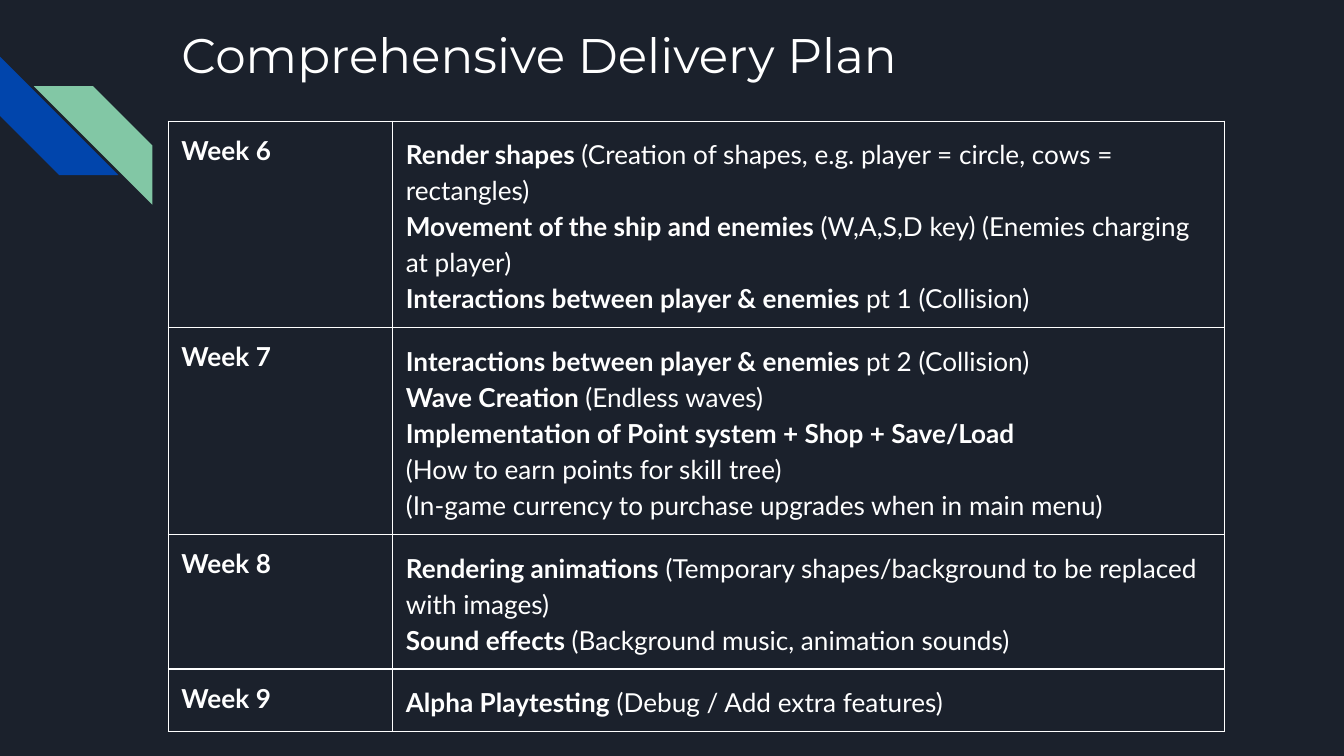
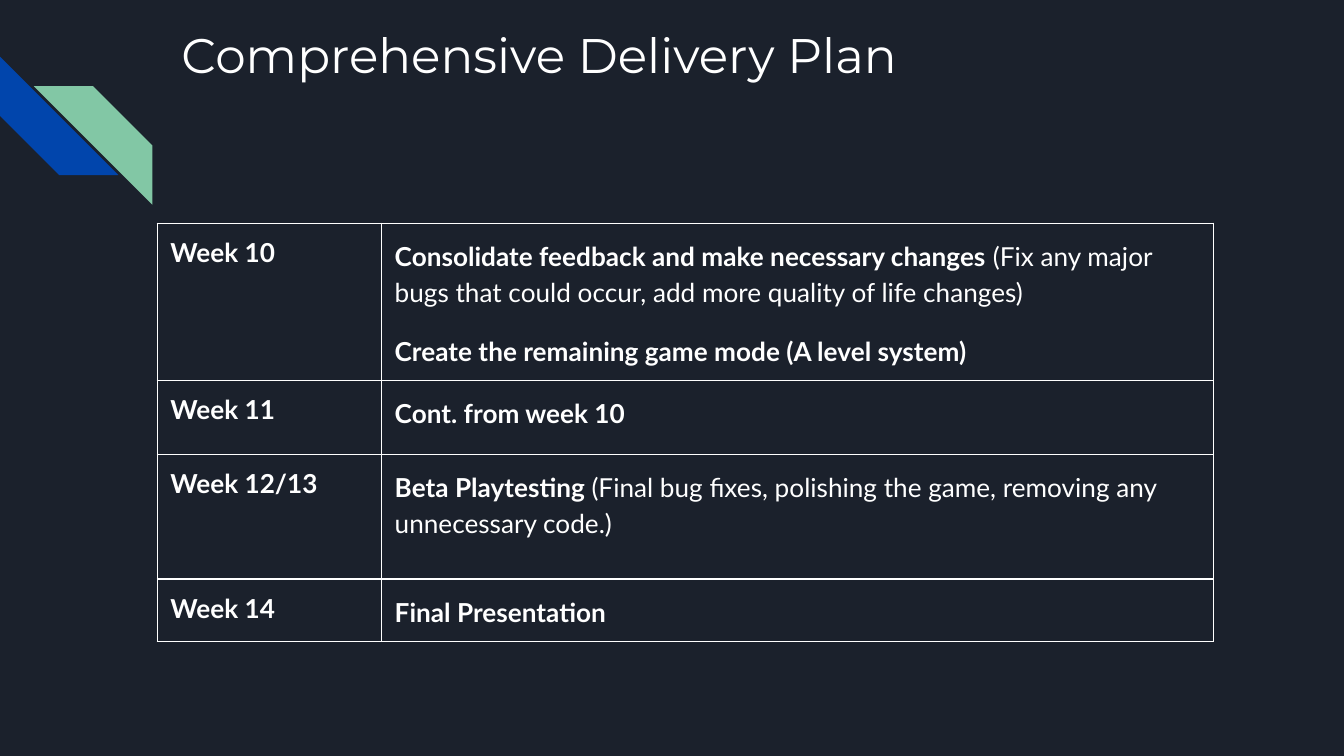
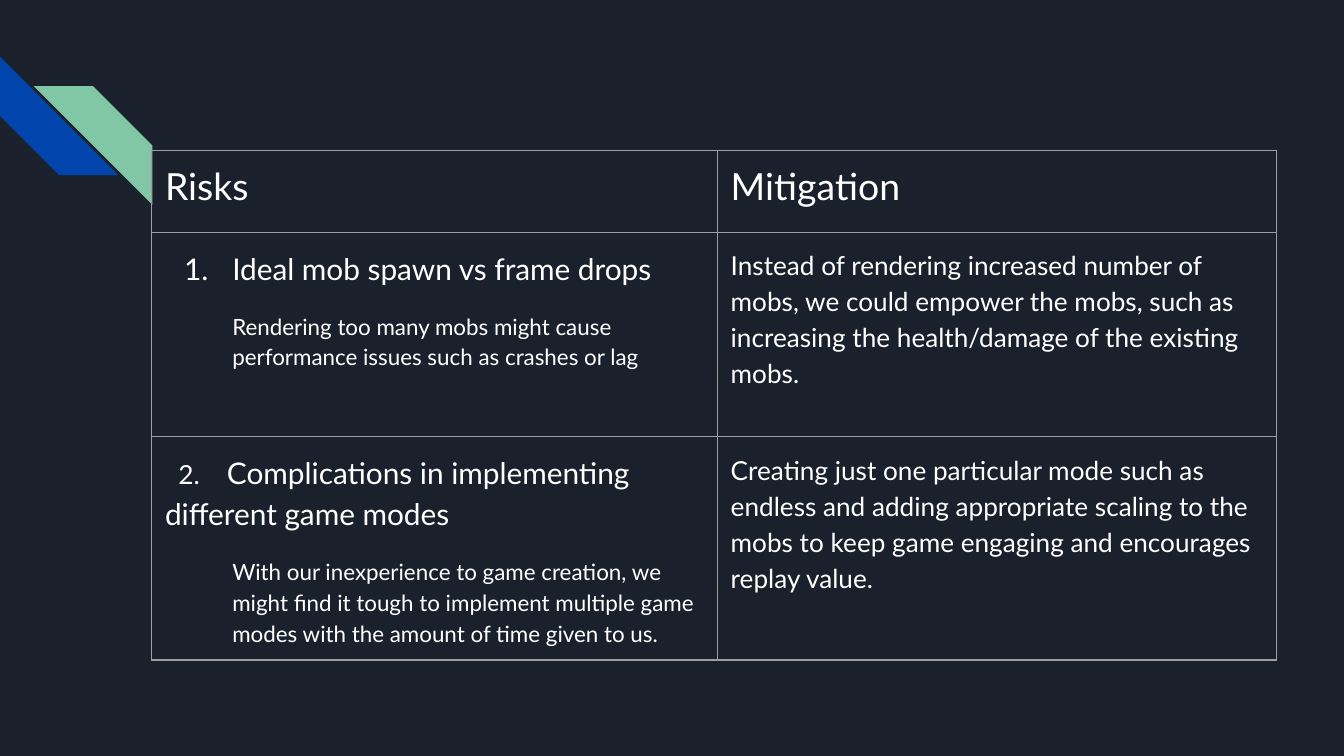
"""Build three dark slides: a two-part weekly delivery plan and a risk table."""
from lxml import etree
from pptx import Presentation
from pptx import util as u
from pptx.dml.color import RGBColor
from pptx.enum import shapes, text
from pptx.oxml.ns import qn

NAVY = RGBColor(0x1B, 0x21, 0x2C)
BLUE = RGBColor(0x01, 0x45, 0xAC)
GREEN = RGBColor(0x82, 0xC7, 0xA5)
WHITE = RGBColor(0xFF, 0xFF, 0xFF)
GREY = RGBColor(0x9E, 0x9E, 0x9E)
BODY_FONT, TITLE_FONT = "Lato", "Montserrat"
INSET = u.Cm(0.25)

PLAN_TITLE = "Comprehensive Delivery Plan"
PLAN_COLS = (4.24, 15.72)
RISK_COLS = (10.69, 10.57)

# Each plan paragraph lists parts that alternate between bold and regular.
PLANS = [
    dict(at=(3.18, 2.29), rows=[
        (3.66, "Week 6", [[
            "Render shapes ",
            "(Creation of shapes, e.g. player = circle, cows = rectangles)\n",
            "Movement of the ship and enemies ",
            "(W,A,S,D key) (Enemies charging at player)\n",
            "Interactions between player & enemies ", "pt 1 (Collision)"]]),
        (3.66, "Week 7", [[
            "Interactions between player & enemies ", "pt 2 (Collision)\n",
            "Wave Creation ", "(Endless waves)\n",
            "Implementation of Point system + Shop + Save/Load\n",
            "(How to earn points for skill tree)\n"
            "(In-game currency to purchase upgrades when in main menu)"]]),
        (2.36, "Week 8", [[
            "Rendering animations",
            " (Temporary shapes/background to be replaced with images)\n",
            "Sound effects ", "(Background music, animation sounds)"]]),
        (1.14, "Week 9", [[
            "Alpha Playtesting", " (Debug / Add extra features)"]]),
    ]),
    dict(at=(2.97, 4.22), rows=[
        (2.9, "Week 10", [
            ["Consolidate feedback and make necessary changes",
             " (Fix any major bugs that could occur, "
             "add more quality of life changes)"],
            ["Create the remaining game mode (A level system)"]]),
        (1.4, "Week 11", [["Cont. from week 10"]]),
        (2.36, "Week 12/13", [[
            "Beta Playtesting ",
            "(Final bug fixes, polishing the game, "
            "removing any unnecessary code.)"]]),
        (1.14, "Week 14", [["Final Presentation"]]),
    ]),
]

RISK_AT = (2.87, 2.84)
RISK_HEADS = (1.55, "Risks", "Mitigation")
RISKS = [
    dict(height=3.86, name="Ideal mob spawn vs frame drops", rest="",
         number=dict(number=1, left=1.27, hang=0.91),
         why="Rendering too many mobs might cause performance issues "
             "such as crashes or lag",
         fix="Instead of rendering increased number of mobs, we could empower "
             "the mobs, such as increasing the health/damage of the existing "
             "mobs."),
    dict(height=4.19, name="Complications in implementing",
         rest="different game modes",
         number=dict(number=2, left=1.17, hang=0.92, number_size=88),
         why="With our inexperience to game creation, we might find it tough "
             "to implement multiple game modes with the amount of time given "
             "to us.",
         fix="Creating just one particular mode such as endless and adding "
             "appropriate scaling to the mobs to keep game engaging and "
             "encourages replay value."),
]


def write(p, *parts, size=14, bold=False, font=BODY_FONT, spacing=1.15,
          before=0, after=0, left=0, hang=0, number=None, number_size=100):
    p.alignment = text.PP_ALIGN.LEFT
    p.line_spacing = spacing
    p.space_before, p.space_after = u.Pt(before), u.Pt(after)
    for i, part in enumerate(parts):
        for j, line in enumerate(part.split("\n")):
            if j:
                p.add_line_break()
            if line:
                r = p.add_run()
                r.text = line
                r.font.name, r.font.size = font, u.Pt(size)
                r.font.bold = bold if i % 2 == 0 else not bold
                r.font.color.rgb = WHITE
    pPr = p._p.get_or_add_pPr()
    pPr.set("marL", str(u.Cm(left)))
    pPr.set("indent", str(-u.Cm(hang)))
    if number:
        clr = etree.SubElement(pPr, qn("a:buClr"))
        etree.SubElement(clr, qn("a:srgbClr"), val=str(WHITE))
        etree.SubElement(pPr, qn("a:buSzPct"), val=str(number_size * 1000))
        etree.SubElement(pPr, qn("a:buFont"), typeface=BODY_FONT)
        etree.SubElement(pPr, qn("a:buAutoNum"), type="arabicPeriod",
                         startAt=str(number))
    else:
        etree.SubElement(pPr, qn("a:buNone"))


def fill_cell(cell, paragraphs, border):
    cell.fill.background()
    cell.margin_left = cell.margin_right = INSET
    cell.margin_top = cell.margin_bottom = INSET
    cell.vertical_anchor = text.MSO_ANCHOR.TOP
    tcPr = cell._tc.get_or_add_tcPr()
    for i, side in enumerate("LRTB"):
        ln = etree.Element(qn(f"a:ln{side}"), w=str(u.Pt(0.75)))
        fill = etree.SubElement(ln, qn("a:solidFill"))
        etree.SubElement(fill, qn("a:srgbClr"), val=str(border))
        tcPr.insert(i, ln)
    tf = cell.text_frame
    for i, (parts, style) in enumerate(paragraphs):
        write(tf.add_paragraph() if i else tf.paragraphs[0], *parts, **style)


def add_grid(s, at, cols, rows, border):
    left, top = map(u.Cm, at)
    heights = [height for height, _ in rows]
    table = s.shapes.add_table(len(rows), len(cols), left, top,
                               u.Cm(sum(cols)), u.Cm(sum(heights))).table
    table.first_row = table.horz_banding = False
    for col, width in zip(table.columns, cols):
        col.width = u.Cm(width)
    for row, (height, cells) in zip(table.rows, rows):
        row.height = u.Cm(height)
        for cell, paragraphs in zip(row.cells, cells):
            fill_cell(cell, paragraphs, border)


def plan_row(height, week, tasks):
    last = len(tasks) - 1
    body = [(parts, dict(bold=True, before=12 if i else 0,
                         after=12 if i == last else 0))
            for i, parts in enumerate(tasks)]
    return height, [[([week], dict(bold=True, spacing=1.0))], body]


def risk_row(risk):
    body = [([risk["name"]], dict(size=16, **risk["number"]))]
    if risk["rest"]:
        body.append(([risk["rest"]], dict(size=16)))
    body.append(([risk["why"]], dict(size=12, before=12, left=1.27)))
    return risk["height"], [body, [([risk["fix"]], dict(after=12))]]


def add_title(s, title):
    sp = s.shapes.title
    sp.left, sp.top, sp.width, sp.height = map(u.Cm, (3.18, 0.23, 19.56, 2.54))
    tf = sp.text_frame
    tf.word_wrap = True
    tf.auto_size = text.MSO_AUTO_SIZE.NONE
    tf.vertical_anchor = text.MSO_ANCHOR.TOP
    tf.margin_left = tf.margin_right = tf.margin_top = tf.margin_bottom = INSET
    write(tf.paragraphs[0], title, size=26, font=TITLE_FONT, spacing=1.0)


def add_master_stripes(master, s):
    """Draw the corner stripes on a slide and hand them to the master."""
    stripes = [(0, 1.07, BLUE, 270, False), (0.64, 1.63, GREEN, 0, True)]
    for i, (left, top, color, turn, flip) in enumerate(stripes):
        sp = s.shapes.add_shape(shapes.MSO_SHAPE.DIAGONAL_STRIPE, u.Cm(left),
                                u.Cm(top), u.Cm(2.24), u.Cm(2.24))
        sp.shadow.inherit = False
        sp.fill.solid()
        sp.fill.fore_color.rgb = color
        sp.line.fill.background()
        sp.rotation = turn
        if flip:
            sp.element.spPr.xfrm.set("flipH", "1")
        sp.element.nvSpPr.cNvPr.set("id", str(100 + i))
        master.shapes.element.append(sp.element)


def main():
    prs = Presentation()
    prs.slide_width, prs.slide_height = u.Cm(25.4), u.Cm(14.29)
    master = prs.slide_master
    master.background.fill.solid()
    master.background.fill.fore_color.rgb = NAVY
    title_only = prs.slide_layouts.get_by_name("Title Only")
    blank = prs.slide_layouts.get_by_name("Blank")

    for plan in PLANS:
        s = prs.slides.add_slide(title_only)
        add_title(s, PLAN_TITLE)
        rows = [plan_row(*row) for row in plan["rows"]]
        add_grid(s, plan["at"], PLAN_COLS, rows, WHITE)

    s = prs.slides.add_slide(blank)
    add_master_stripes(master, s)
    height, *heads = RISK_HEADS
    head_row = (height, [[([h], dict(size=20, spacing=1.0))] for h in heads])
    add_grid(s, RISK_AT, RISK_COLS, [head_row, *map(risk_row, RISKS)], GREY)
    prs.save("out.pptx")


if __name__ == "__main__":
    main()
